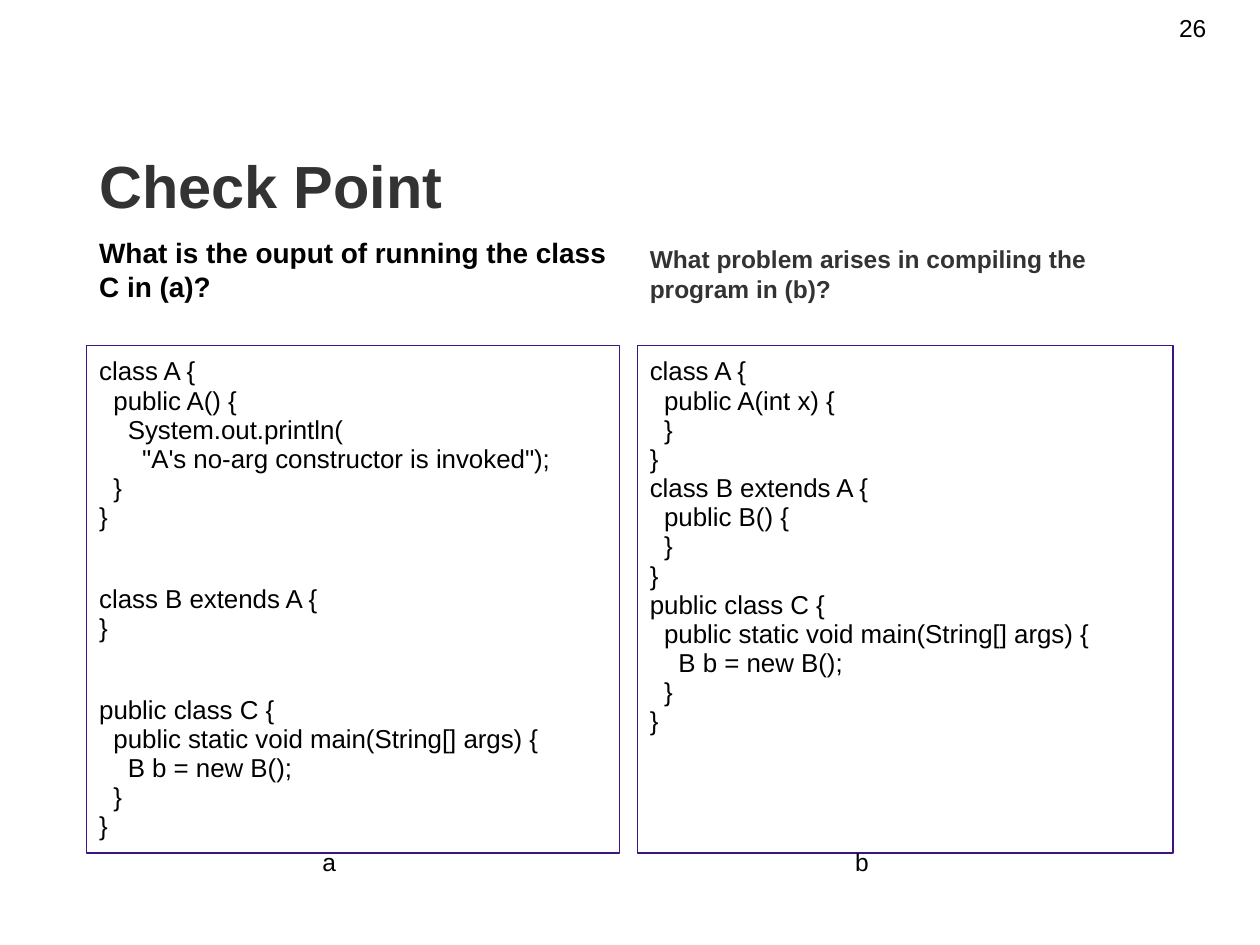
from pptx import Presentation
from pptx.dml.color import RGBColor
from pptx.enum.shapes import MSO_SHAPE
from pptx.enum.text import MSO_ANCHOR, PP_ALIGN
from pptx.util import Cm, Pt

FONT = "Arial"
BLACK, GRAY, PURPLE = "000000", "333333", "3C1581"
INSET = 0.25

CODE_A = [
    """class A {
  public A() {
    System.out.println(
      "A's no-arg constructor is invoked");
  }
}""",
    """class B extends A {
}""",
    """public class C {
  public static void main(String[] args) {
    B b = new B();
  }
}""",
]
CODE_B = [
    """class A {
  public A(int x) {
  }
}
class B extends A {
  public B() {
  }
}
public class C {
  public static void main(String[] args) {
    B b = new B();
  }
}""",
]


def color(value):
    """Turn a hex string into a colour."""
    return RGBColor.from_string(value)


def add_run(paragraph, text, size, hex_color=BLACK, bold=False):
    """Add one formatted run to a paragraph."""
    run = paragraph.add_run()
    run.text = text
    run.font.name = FONT
    run.font.size = Pt(size)
    run.font.bold = bold
    run.font.color.rgb = color(hex_color)


def set_frame(shape, anchor, vertical=INSET, bottom=None, wrap=True):
    """Set insets, anchor and wrapping of a shape's text, and return its frame."""
    frame = shape.text_frame
    frame.word_wrap = wrap
    frame.vertical_anchor = anchor
    frame.margin_left = frame.margin_right = Cm(INSET)
    frame.margin_top = Cm(vertical)
    frame.margin_bottom = Cm(vertical if bottom is None else bottom)
    return frame


def add_label(slide, box, text, size, hex_color=BLACK, bold=False,
              anchor=MSO_ANCHOR.BOTTOM, **frame_options):
    """Add a one-paragraph text box."""
    shape = slide.shapes.add_textbox(*map(Cm, box))
    frame = set_frame(shape, anchor, **frame_options)
    add_run(frame.paragraphs[0], text, size, hex_color, bold)


def add_code(slide, box, blocks):
    """Add an outlined box with blocks of code, one paragraph each."""
    shape = slide.shapes.add_shape(MSO_SHAPE.RECTANGLE, *map(Cm, box))
    shape.shadow.inherit = False
    shape.fill.background()
    shape.line.color.rgb = color(PURPLE)
    shape.line.width = Pt(0.75)
    frame = set_frame(shape, MSO_ANCHOR.TOP)
    for index, block in enumerate(blocks):
        paragraph = frame.add_paragraph() if index else frame.paragraphs[0]
        paragraph.alignment = PP_ALIGN.LEFT
        paragraph.line_spacing = 0.94
        paragraph.space_before = Pt(30 if index else 0)
        for number, line in enumerate(block.split("\n")):
            if number:
                paragraph.add_line_break()
            add_run(paragraph, line, 14.8)


def add_column(slide, box, heading, blocks, letter, letter_left):
    """Add a question, its code box and the letter below it."""
    left, top, width, height = box
    text, size, hex_color, heading_height, bottom = heading
    add_label(slide, (left, top, width, heading_height), text, size,
              hex_color, True, bottom=bottom)
    add_code(slide, (left, top + 2.28, width, height - 2.28), blocks)
    add_label(slide, (left + letter_left, top + 12.27, 0.9, 1.27), letter, 14,
              anchor=MSO_ANCHOR.TOP, vertical=0.13, wrap=False)


def build_slide(presentation):
    """Build the check point slide."""
    slide = presentation.slides.add_slide(presentation.slide_layouts[6])
    add_label(slide, (1.75, 1.02, 21.9, 3.67), "Check Point", 34, GRAY, True)
    add_column(slide, (1.75, 4.68, 10.74, 12.52),
               ("What is the ouput of running the class C in (a)?",
                16, BLACK, 1.68, INSET), CODE_A, "a", 4.5)
    add_column(slide, (12.85, 4.68, 10.8, 12.52),
               ("What problem arises in compiling the program in (b)?",
                14, GRAY, 2.28, 0.85), CODE_B, "b", 4.14)
    add_label(slide, (23.52, 0.3, 1.52, 0.51), "26", 14,
              anchor=MSO_ANCHOR.MIDDLE, vertical=0.13)


def main():
    """Create and save the presentation."""
    presentation = Presentation()
    presentation.slide_width = Cm(25.4)
    presentation.slide_height = Cm(19.05)
    build_slide(presentation)
    presentation.save("out.pptx")


if __name__ == "__main__":
    main()
